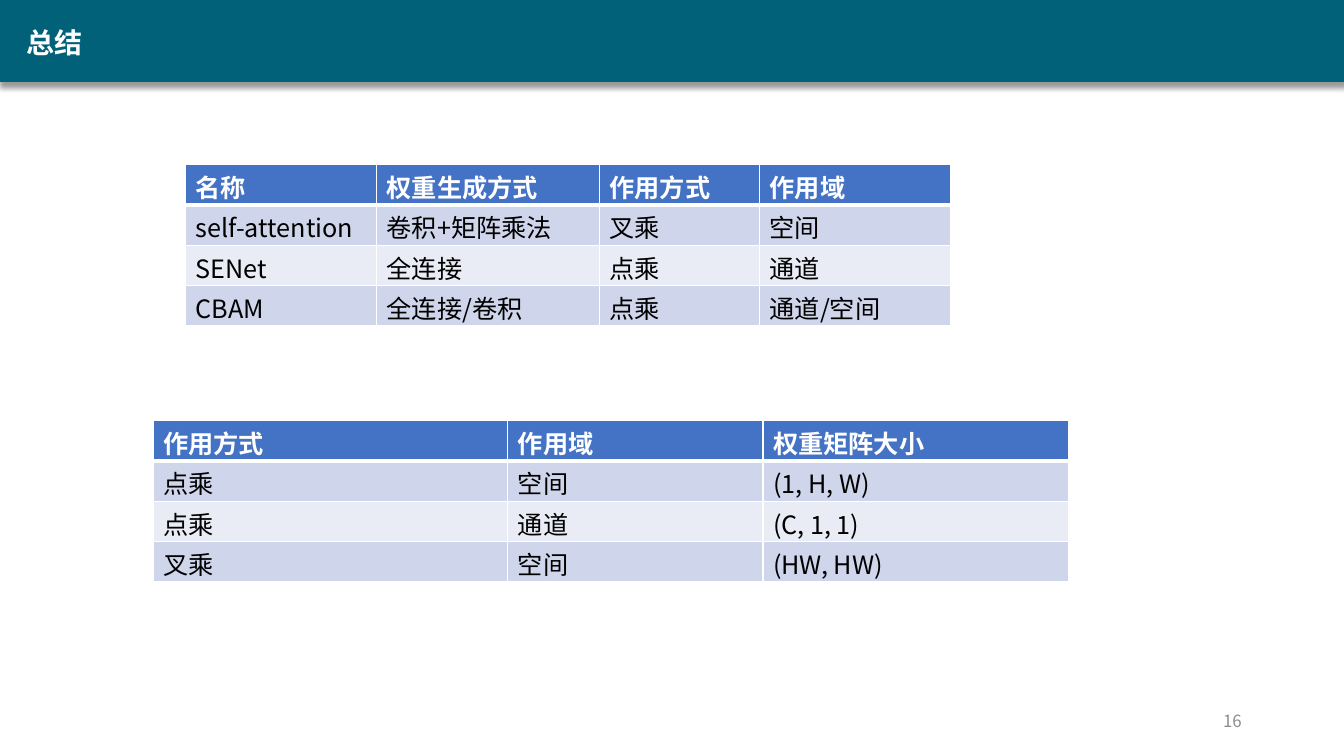
from pptx import Presentation
from pptx import oxml
from pptx import util as u
from pptx.dml.color import RGBColor
from pptx.enum import shapes, text
from pptx.oxml import ns

Pt = u.Pt
FONT = "Noto Sans CJK SC"
COLORS = {
    "banner": "016179",
    "header": "4472C4",
    "band_dark": "CFD5EA",
    "band_light": "E9EBF5",
    "white": "FFFFFF",
    "black": "000000",
    "page": "8C8C8C",
}
ROW_HEIGHT = 28.8

METHODS = [
    ["名称", "权重生成方式", "作用方式", "作用域"],
    ["self-attention", "卷积+矩阵乘法", "叉乘", "空间"],
    ["SENet", "全连接", "点乘", "通道"],
    ["CBAM", "全连接/卷积", "点乘", "通道/空间"],
]
WEIGHT_SIZES = [
    ["作用方式", "作用域", "权重矩阵大小"],
    ["点乘", "空间", "(1, H, W)"],
    ["点乘", "通道", "(C, 1, 1)"],
    ["叉乘", "空间", "(HW, HW)"],
]


def color(name):
    return RGBColor.from_string(COLORS[name])


def write(frame, words, size=18, ink="black", bold=False,
          align=text.PP_ALIGN.LEFT, spacing=None):
    paragraph = frame.paragraphs[0]
    paragraph.alignment = align
    if spacing:
        paragraph.line_spacing = spacing
    run = paragraph.add_run()
    run.text = words
    run.font.size = Pt(size)
    run.font.bold = bold
    run.font.name = FONT
    run.font.color.rgb = color(ink)
    east_asian = oxml.parse_xml(f'<a:ea {ns.nsdecls("a")} typeface="{FONT}"/>')
    run.font._element.find(ns.qn("a:latin")).addnext(east_asian)


def add_banner(slide):
    banner = slide.shapes.add_shape(
        shapes.MSO_SHAPE.RECTANGLE, 0, 0, Pt(961), Pt(58.3))
    banner.fill.solid()
    banner.fill.fore_color.rgb = color("banner")
    banner.line.color.rgb = color("banner")
    banner.line.width = Pt(1)
    banner.shadow.inherit = False
    effects = banner._element.spPr.find(ns.qn("a:effectLst"))
    effects.append(oxml.parse_xml(
        f'<a:outerShdw {ns.nsdecls("a")} blurRad="{Pt(4)}" dist="{Pt(3)}" '
        f'dir="5400000" algn="t" rotWithShape="0"><a:srgbClr '
        f'val="{COLORS["black"]}"><a:alpha val="40000"/></a:srgbClr></a:outerShdw>'))
    slide.shapes._spTree.insert(2, banner._element)


def add_title(slide, words):
    title = slide.shapes.title
    title.left, title.top, title.width, title.height = map(Pt, (11.5, 10.1, 54.7, 34.6))
    frame = title.text_frame
    frame.word_wrap = False
    frame.auto_size = text.MSO_AUTO_SIZE.SHAPE_TO_FIT_TEXT
    frame.vertical_anchor = text.MSO_ANCHOR.MIDDLE
    write(frame, words, size=20, ink="white", bold=True, spacing=1.25)


def add_page_number(slide, number):
    frame = slide.shapes.add_textbox(Pt(678), Pt(500.5), Pt(216), Pt(28.8)).text_frame
    frame.word_wrap = True
    frame.vertical_anchor = text.MSO_ANCHOR.MIDDLE
    write(frame, number, size=12, ink="page", align=text.PP_ALIGN.RIGHT)


def set_borders(cell, bottom):
    properties = cell._tc.get_or_add_tcPr()
    widths = {"lnL": 1, "lnR": 1, "lnT": 1, "lnB": bottom}
    for position, (side, width) in enumerate(widths.items()):
        properties.insert(position, oxml.parse_xml(
            f'<a:{side} {ns.nsdecls("a")} w="{Pt(width)}"><a:solidFill>'
            f'<a:srgbClr val="{COLORS["white"]}"/></a:solidFill></a:{side}>'))


def add_summary_table(slide, rows, left, top, widths):
    table = slide.shapes.add_table(
        len(rows), len(widths), Pt(left), Pt(top),
        Pt(sum(widths)), Pt(ROW_HEIGHT * len(rows))).table
    for column, width in zip(table.columns, widths):
        column.width = Pt(width)
    for r, row in enumerate(rows):
        table.rows[r].height = Pt(ROW_HEIGHT)
        heading = r == 0
        band = "header" if heading else "band_dark" if r % 2 else "band_light"
        for c, words in enumerate(row):
            cell = table.cell(r, c)
            cell.margin_top, cell.margin_bottom = Pt(2.7), 0
            cell.fill.solid()
            cell.fill.fore_color.rgb = color(band)
            set_borders(cell, bottom=3 if heading else 1)
            write(cell.text_frame, words, bold=heading,
                  ink="white" if heading else "black")


def main():
    deck = Presentation()
    deck.slide_width, deck.slide_height = Pt(960), Pt(540)
    slide = deck.slides.add_slide(deck.slide_layouts[5])
    add_banner(slide)
    add_title(slide, "总结")
    add_page_number(slide, "16")
    add_summary_table(slide, METHODS, 132.5, 117.5, [136.5, 159.2, 114.4, 136.5])
    add_summary_table(slide, WEIGHT_SIZES, 109.4, 300.4, [253.4, 182.2, 218.2])
    deck.save("out.pptx")


if __name__ == "__main__":
    main()
